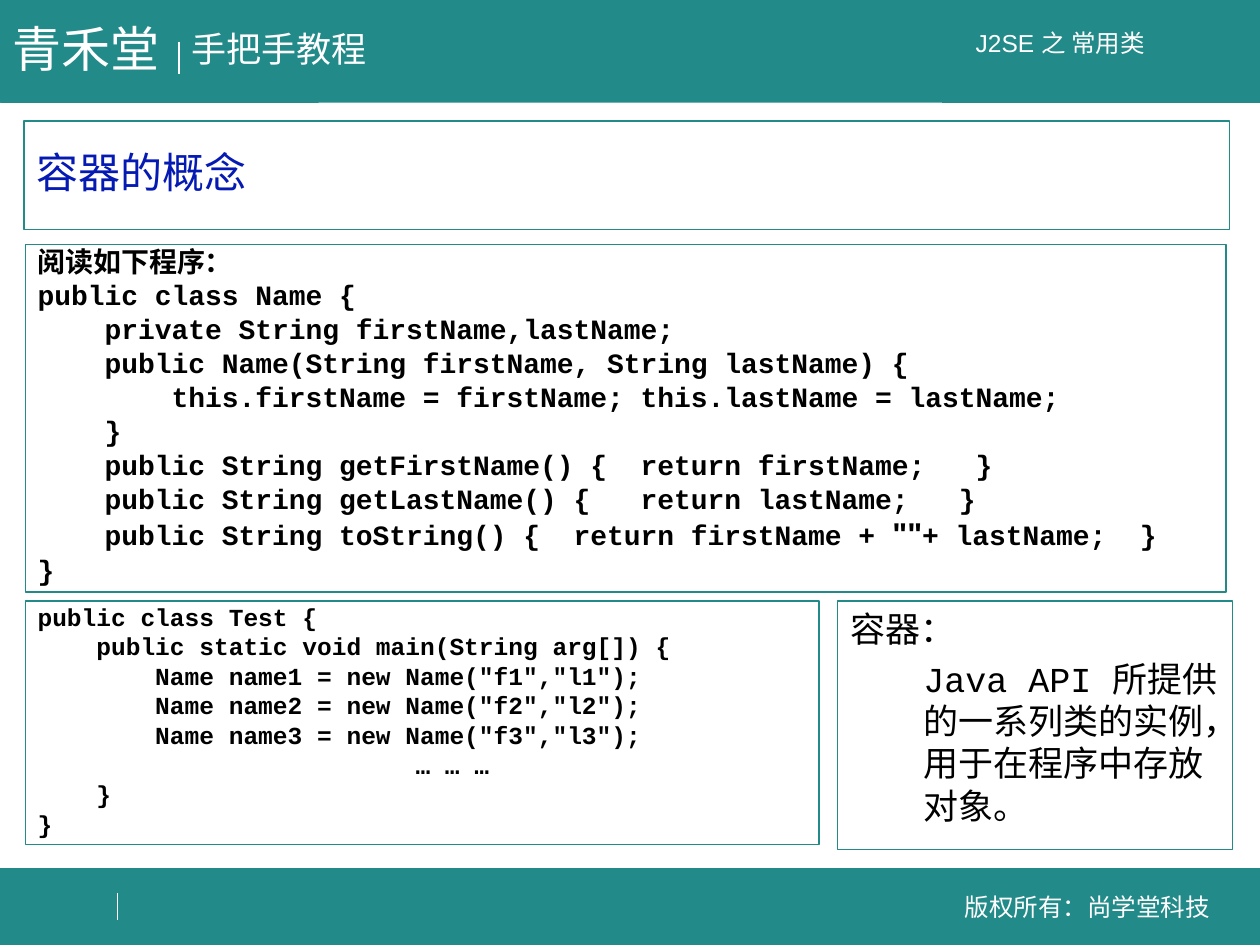
"""Build the slide that introduces the concept of a Java container."""
from lxml import etree
from pptx import Presentation
from pptx.dml.color import RGBColor
from pptx.enum.shapes import MSO_CONNECTOR as Connector, MSO_SHAPE as Shape
from pptx.enum.text import MSO_ANCHOR as Anchor, PP_ALIGN as Align
from pptx.oxml.ns import qn
from pptx.util import Inches, Pt

TEAL, WHITE, BLACK, BLUE = "228A88", "FFFFFF", "000000", "051AB3"
CODE_FONT = "Courier New"

presentation = Presentation()
presentation.slide_width, presentation.slide_height = Inches(10), Inches(7.5)
column = presentation.slide_width / 100
row = presentation.slide_height / 75
slide = presentation.slides.add_slide(presentation.slide_layouts[6])


def grid(left, top, width, height):
    return [round(value) for value in (left * column, top * row, width * column, height * row)]


def add_text(text, place, size=14, font="Arial", color=WHITE, bold=False, border=None,
             fill=None, anchor=Anchor.TOP, align=Align.LEFT, spacing=1, before=0, indents=()):
    shape = slide.shapes.add_textbox(*grid(*place))
    if border:
        shape.line.color.rgb = RGBColor.from_string(border)
        shape.line.width = Pt(0.75)
    if fill:
        shape.fill.solid()
        shape.fill.fore_color.rgb = RGBColor.from_string(fill)
    frame = shape.text_frame
    frame.word_wrap = True
    frame.vertical_anchor = anchor
    for index, line in enumerate(text.split("\n")):
        paragraph = frame.add_paragraph() if index else frame.paragraphs[0]
        paragraph.alignment = align
        paragraph.line_spacing = spacing
        if index:
            paragraph.space_before = Pt(before)
        if index in indents:
            paragraph._p.get_or_add_pPr().set("marL", str(round(indents[index] * column)))
        for piece in filter(None, line.partition('""')):
            run = paragraph.add_run()
            run.text = piece
            quotes = piece == '""'
            run.font.name = "Arial" if quotes else font
            run.font.size = Pt(size + 2 if quotes else size)
            run.font.bold = bold
            run.font.color.rgb = RGBColor.from_string(color)


for top, height in ((68.9, 6.1), (0, 8.1)):
    band = slide.shapes.add_shape(Shape.RECTANGLE, *grid(0, top, 100, height))
    band.shadow.inherit = False
    band.fill.solid()
    band.fill.fore_color.rgb = RGBColor.from_string(TEAL)
    band.line.color.rgb = RGBColor.from_string(TEAL)
    band.line.width = Pt(0.25)

for left, top, bottom in ((14.2, 3.3, 5.9), (9.3, 70.9, 73)):
    divider = slide.shapes.add_connector(Connector.STRAIGHT, *grid(left, top, left, bottom))
    divider.line.color.rgb = RGBColor.from_string(WHITE)
    divider.line.width = Pt(0.75)
    etree.SubElement(divider._element.spPr, qn("a:effectLst"))

add_text("青禾堂", (0, 1, 16, 5.7), size=28)
add_text("手把手教程", (14.2, 1.7, 18, 4.4), size=20)
add_text("J2SE 之 常用类", (68.3, 1.7, 31.7, 3.4), anchor=Anchor.MIDDLE, align=Align.CENTER)
add_text("版权所有：尚学堂科技", (74.7, 70.3, 23.2, 3.4), anchor=Anchor.MIDDLE, align=Align.CENTER)

add_text("容器的概念", (1.9, 9.6, 95.7, 8.6), size=24, font="Noto Sans CJK SC", color=BLUE,
         border=TEAL, anchor=Anchor.MIDDLE, spacing=0.9)

name_class = """阅读如下程序：
public class Name {
    private String firstName,lastName;
    public Name(String firstName, String lastName) {
        this.firstName = firstName; this.lastName = lastName;
    }
    public String getFirstName() {  return firstName;   }
    public String getLastName() {   return lastName;   }
    public String toString() {  return firstName + ""+ lastName;  }
}"""
add_text(name_class, (2, 19.4, 95.3, 27.6), size=16, font=CODE_FONT, color=BLACK, bold=True,
         border=TEAL, fill=WHITE, spacing=0.8, before=4)

test_class = """public class Test {
    public static void main(String arg[]) {
        Name name1 = new Name("f1","l1");
        Name name2 = new Name("f2","l2");
        Name name3 = new Name("f3","l3");
… … …
    }
}"""
add_text(test_class, (2, 47.7, 63, 19.3), font=CODE_FONT, color=BLACK, bold=True,
         border=TEAL, fill=WHITE, spacing=0.8, before=3.5, indents={5: 30})

add_text("容器：\nJava API 所提供的一系列类的实例，用于在程序中存放对象。", (66.5, 47.7, 31.3, 19.7),
         size=20, font=CODE_FONT, color=BLACK, border=TEAL, fill=WHITE, before=5, indents={1: 5.8})

presentation.save("out.pptx")
